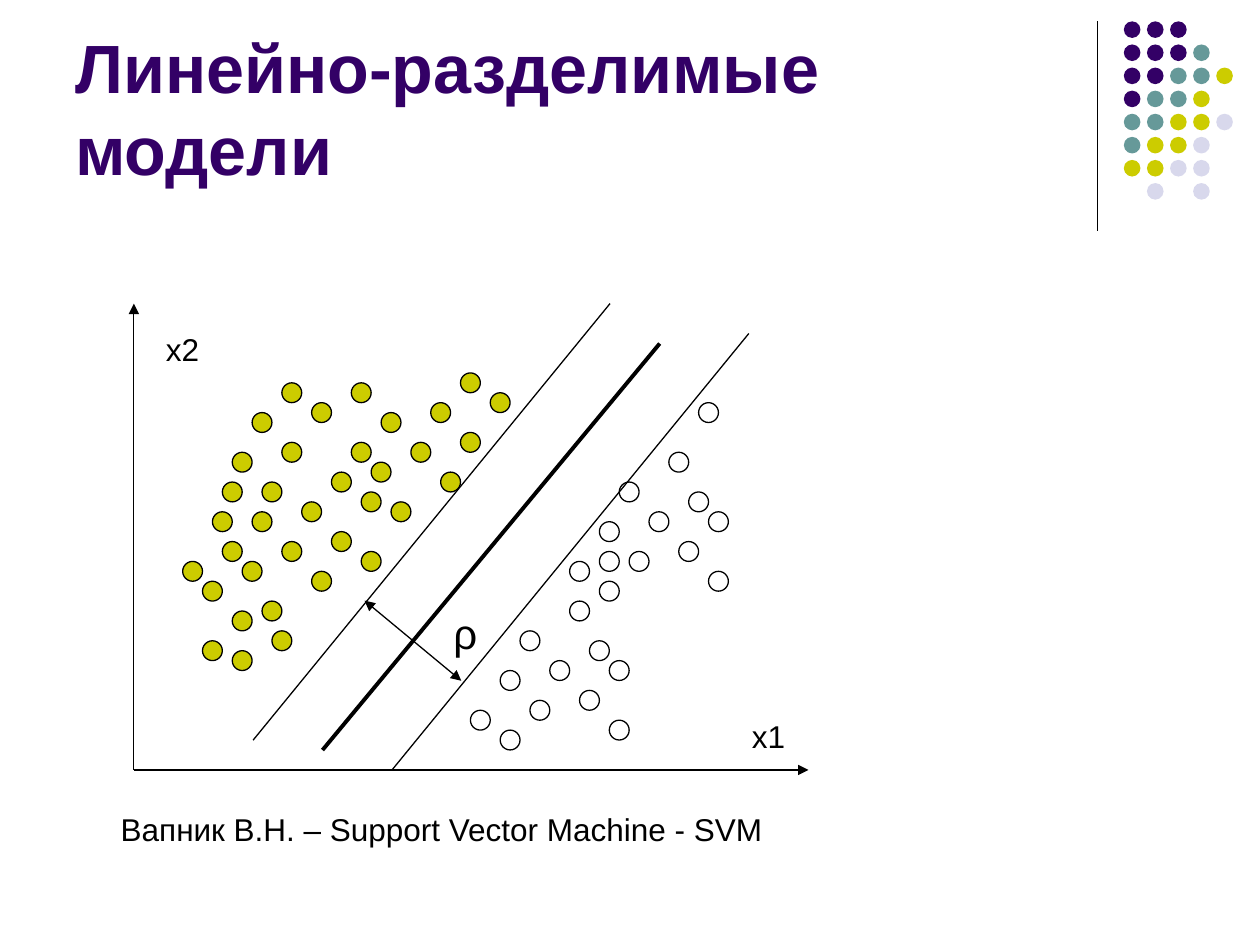
"""Build the slide on linearly separable models."""
import pptx
import pptx.util
import pptx.dml.color
import pptx.enum.shapes
import pptx.enum.text
import pptx.oxml
import pptx.oxml.ns

Pt = pptx.util.Pt
FONT, PURPLE, OLIVE, BLACK = "Arial", "330066", "CCCC00", "000000"

DOT_COLOURS = {"P": PURPLE, "T": "669999", "O": OLIVE, "L": "D8D8EC"}
DOT_ROWS = ["PPP", "PPPT", "PPTTO", "PTTO", "TTOOL", "TOOL", "OOLL", " L L"]
DOT_LEFT, DOT_TOP, DOT_PITCH, DOT_SIZE = 642.2, 12.2, 13.2, 9.5

POINT_LEFT, POINT_TOP, POINT_UNIT = 104.4, 213.1, 5.67
CLASS_A = [
    (17, 1), (20, 4), (23, 7), (26, 10), (31, 2), (18, 18), (21, 13), (28, 0), (28, 6),
    (19, 9), (25, 3), (17, 7), (4, 11), (7, 14), (10, 17), (13, 20), (18, 12), (5, 28),
    (8, 23), (15, 10), (15, 16), (6, 19), (12, 13), (4, 17), (2, 21), (5, 24), (5, 8),
    (8, 11), (13, 3), (0, 19), (3, 14), (10, 1), (10, 7), (9, 26), (7, 4), (2, 27),
]
CLASS_B = [
    (53, 20), (50, 17), (47, 14), (44, 11), (39, 19), (52, 3), (49, 8), (42, 21),
    (42, 15), (51, 12), (45, 18), (53, 14), (43, 35), (40, 32), (37, 29), (34, 26),
    (29, 34), (42, 18), (39, 23), (32, 36), (32, 30), (41, 27), (35, 33), (43, 29),
]

LINES = [
    ((627.1, 12.2), (627.1, 131.8), 0.75, ()),
    ((76.5, 440), (76.5, 173.5), 0.75, ("tailEnd",)),
    ((76.5, 440), (462, 440), 0.75, ("tailEnd",)),
    ((184.3, 428.6), (377, 196.3), 2.25, ()),
    ((144.6, 423), (348.6, 173.5), 0.75, ()),
    ((224, 440), (427.9, 190.6), 0.75, ()),
    ((208.3, 343.2), (263.6, 389), 0.75, ("headEnd", "tailEnd")),
]

TEXTS = [
    ("Линейно-разделимые модели", (36, 9.4, 594, 102.2), 39, PURPLE, True, 1.0, "BOTTOM"),
    ("ρ", (252, 343.4, 28.1, 36), 24, BLACK, False, 1.0, "TOP"),
    ("x2", (87.8, 185, 45.4, 28.8), 18, BLACK, False, 1.0, "TOP"),
    ("x1", (422.6, 406.1, 67.7, 28.8), 18, BLACK, False, 1.0, "TOP"),
    ("Вапник В.Н. – Support Vector Machine - SVM", (61.9, 461.5, 466.6, 26.6),
     18, BLACK, False, 0.9, "TOP"),
]


def rgb(value):
    return pptx.dml.color.RGBColor.from_string(value)


def add_circle(s, left, top, size, fill=None, outlined=True):
    oval = pptx.enum.shapes.MSO_SHAPE.OVAL
    sp = s.shapes.add_shape(oval, Pt(left), Pt(top), Pt(size), Pt(size))
    sp.shadow.inherit = False
    if fill:
        sp.fill.solid()
        sp.fill.fore_color.rgb = rgb(fill)
    else:
        sp.fill.background()
    if outlined:
        sp.line.color.rgb = rgb(BLACK)
        sp.line.width = Pt(0.75)
    else:
        sp.line.fill.background()


def add_line(s, start, end, width, arrows):
    straight = pptx.enum.shapes.MSO_CONNECTOR.STRAIGHT
    sp = s.shapes.add_connector(straight, *(Pt(v) for v in start + end))
    sp.line.color.rgb = rgb(BLACK)
    sp.line.width = Pt(width)
    ln = sp.line._get_or_add_ln()
    for tag in arrows:
        arrow = pptx.oxml.parse_xml(
            f'<a:{tag} {pptx.oxml.ns.nsdecls("a")} type="triangle"/>')
        ln.append(arrow)
    effects = pptx.oxml.parse_xml(f'<a:effectLst {pptx.oxml.ns.nsdecls("a")}/>')
    sp._element.spPr.append(effects)


def add_text(s, text, box, size, colour, bold, spacing, anchor):
    tf = s.shapes.add_textbox(*(Pt(v) for v in box)).text_frame
    tf.word_wrap = True
    tf.vertical_anchor = pptx.enum.text.MSO_ANCHOR[anchor]
    p = tf.paragraphs[0]
    p.text = text
    p.line_spacing = spacing
    p.font.name, p.font.size, p.font.bold = FONT, Pt(size), bold
    p.font.color.rgb = rgb(colour)


def main():
    prs = pptx.Presentation()
    prs.slide_width, prs.slide_height = Pt(720), Pt(540)
    s = prs.slides.add_slide(prs.slide_layouts[6])
    for row, codes in enumerate(DOT_ROWS):
        for col, code in enumerate(codes):
            if code in DOT_COLOURS:
                add_circle(s, DOT_LEFT + col * DOT_PITCH, DOT_TOP + row * DOT_PITCH,
                           DOT_SIZE, DOT_COLOURS[code], outlined=False)
    for points, fill in ((CLASS_A, OLIVE), (CLASS_B, None)):
        for col, row in points:
            add_circle(s, POINT_LEFT + col * POINT_UNIT, POINT_TOP + row * POINT_UNIT,
                       2 * POINT_UNIT, fill)
    for line in LINES:
        add_line(s, *line)
    for text in TEXTS:
        add_text(s, *text)
    prs.save("out.pptx")


if __name__ == "__main__":
    main()
